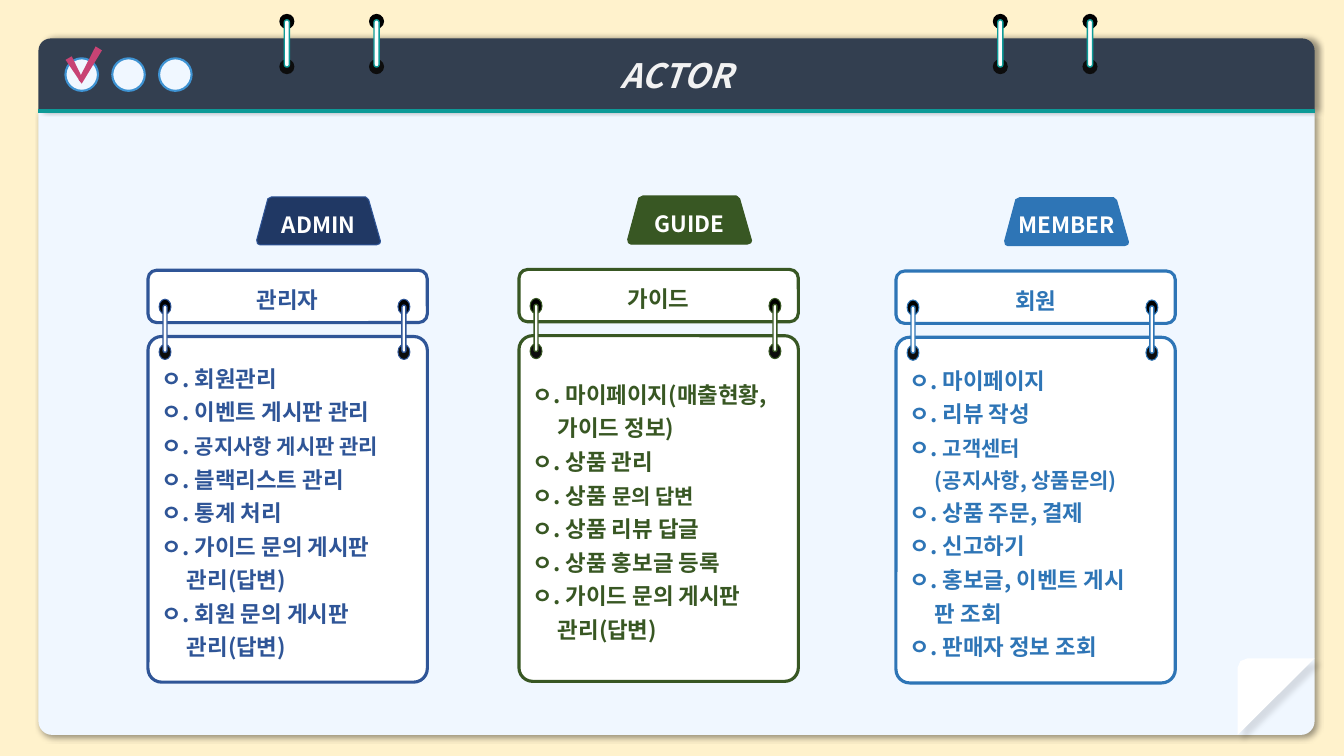
import pptx
import pptx.dml.color
import pptx.enum.shapes
import pptx.enum.text
import pptx.oxml.ns
import pptx.util
from lxml import etree

Cm = pptx.util.Cm
Pt = pptx.util.Pt
qn = pptx.oxml.ns.qn
KIND = pptx.enum.shapes.MSO_SHAPE
ALIGN = pptx.enum.text.PP_ALIGN
MIDDLE = pptx.enum.text.MSO_ANCHOR.MIDDLE


def color(code):
    return pptx.dml.color.RGBColor.from_string(code)


class Board:
    font = "Noto Sans CJK KR"
    teal = "0D9A97"
    pale = "F0F7FF"
    white = "FFFFFF"
    pink = "C84374"

    def __init__(self, deck):
        self.slide = deck.slides.add_slide(deck.slide_layouts[5])
        self.shapes = self.slide.shapes
        back = self.slide.background.fill
        back.solid()
        back.fore_color.rgb = color("FFF2CC")

    def paint(self, shape, fill, line=None, shade=None):
        shape.fill.solid()
        shape.fill.fore_color.rgb = color(fill)
        if line:
            shape.line.color.rgb = color(line[0])
            shape.line.width = Pt(line[1])
        else:
            shape.line.fill.background()
        shape.shadow.inherit = False
        if shade:
            self.shade(shape, *shade)
        return shape

    def shade(self, shape, alpha, dist, angle):
        effects = shape._element.spPr.find(qn("a:effectLst"))
        outer = etree.SubElement(
            effects, qn("a:outerShdw"), blurRad=str(Pt(4)), dist=str(Pt(dist)),
            dir=str(angle * 60000), algn="tl", rotWithShape="0")
        tint = etree.SubElement(outer, qn("a:srgbClr"), val="000000")
        etree.SubElement(tint, qn("a:alpha"), val=str(alpha * 1000))

    def shape(self, kind, box, fill, line=None, shade=None, adjust=()):
        item = self.shapes.add_shape(kind, *map(Cm, box))
        for i, value in enumerate(adjust):
            item.adjustments[i] = value
        return self.paint(item, fill, line, shade)

    def outline(self, points, fill, line=None, shade=None):
        spots = [(Cm(x), Cm(y)) for x, y in points]
        pen = self.shapes.build_freeform(*spots[0])
        pen.add_line_segments(spots[1:], close=True)
        return self.paint(pen.convert_to_shape(), fill, line, shade)

    def rule(self, x1, y1, x2, y2, tint, width):
        straight = pptx.enum.shapes.MSO_CONNECTOR.STRAIGHT
        link = self.shapes.add_connector(straight, *map(Cm, (x1, y1, x2, y2)))
        link.line.color.rgb = color(tint)
        link.line.width = Pt(width)
        etree.SubElement(link._element.spPr, qn("a:effectLst"))

    def style(self, para, size, tint, align, space=None):
        para.alignment = align
        para.line_spacing = space
        para.font.name = self.font
        para.font.size = Pt(size)
        para.font.bold = True
        para.font.color.rgb = color(tint)
        face = para.font._element.find(qn("a:latin"))
        face.addnext(face.makeelement(qn("a:ea"), typeface=self.font))

    def label(self, shape, rows, tint, align=ALIGN.CENTER):
        frame = shape.text_frame
        frame.word_wrap = True
        frame.vertical_anchor = MIDDLE
        for i, row in enumerate(rows):
            para = frame.paragraphs[0] if i == 0 else frame.add_paragraph()
            text, small = row if isinstance(row, tuple) else (row, "")
            if align == ALIGN.LEFT and not text.startswith("ㅇ"):
                props = para._p.get_or_add_pPr()
                props.set("marL", str(Cm(0.63)))
                props.set("indent", "0")
            if text:
                para.add_run().text = text
            if small:
                run = para.add_run()
                run.text = small
                run.font.size = Pt(15)
            self.style(para, 16, tint, align, 1.25)

    def title(self, text, box):
        head = self.shapes.title
        head.left, head.top, head.width, head.height = map(Cm, box)
        head.text = text
        head.text_frame.vertical_anchor = MIDDLE
        head.text_frame.auto_size = pptx.enum.text.MSO_AUTO_SIZE.NONE
        para = head.text_frame.paragraphs[0]
        self.style(para, 24, "F2F2F2", ALIGN.CENTER)
        para.font.italic = True
        self.shapes._spTree.append(head._element)

    def ring(self, x, y, width, bar, tint, edge=None):
        self.shape(KIND.OVAL, (x, y + 1.14, width, 0.38), "0D0D0D", edge)
        self.shape(KIND.OVAL, (x, y, width, 0.38), "000000", edge)
        self.shape(KIND.ROUNDED_RECTANGLE,
                   (x + (width - bar) / 2, y + 0.15, bar, 1.19),
                   self.white, (tint, 1), adjust=[0.5])

    def card(self, x, y, tint, dark, role, name, rows):
        line = (tint, 2.25)
        head = self.shape(KIND.ROUNDED_RECTANGLE, (x, y, 7.04, 1.32),
                          self.white, line)
        self.label(head, [name], tint)
        body = self.shape(KIND.ROUNDED_RECTANGLE, (x, y + 1.67, 7.04, 8.71),
                          self.white, line, adjust=[0.049])
        self.label(body, rows, tint, ALIGN.LEFT)
        for step in (0.28, 6.3):
            self.ring(x + step, y + 0.73, 0.3, 0.1, tint, (tint, 0))
        rim = [(0.38, 0), (2.74, 0), (2.82, 0.07), (3.12, 1.12), (3.1, 1.18),
               (3.02, 1.21), (0.08, 1.21), (0.02, 1.18), (0, 1.09), (0.28, 0.05)]
        tab = self.outline([(x + 2.74 + a, y - 1.85 + b) for a, b in rim],
                           dark, (tint, 0))
        self.label(tab, [role], self.white)


CARDS = [
    (3.73, 6.81, "2F5597", "203864", "ADMIN", "관리자",
     ["ㅇ. 회원관리", "ㅇ. 이벤트 게시판 관리", ("ㅇ. ", "공지사항 게시판 관리"),
      "ㅇ. 블랙리스트 관리", "ㅇ. 통계 처리", "ㅇ. 가이드 문의 게시판", "관리(답변)",
      "ㅇ. 회원 문의 게시판", "관리(답변)"]),
    (13.08, 6.79, "385723", "385723", "GUIDE", "가이드",
     ["ㅇ. 마이페이지(매출현황,", "가이드 정보)", "ㅇ. 상품 관리",
      ("ㅇ. 상품 ", "문의 답변"), "ㅇ. 상품 리뷰 답글", "ㅇ. 상품 홍보글 등록",
      "ㅇ. 가이드 문의 게시판", "관리(답변)"]),
    (22.58, 6.83, "2E75B6", "2E75B6", "MEMBER", "회원",
     ["ㅇ. 마이페이지", "ㅇ. 리뷰 작성", ("ㅇ. ", "고객센터"),
      ("", "(공지사항, 상품문의)"), "ㅇ. 상품 주문, 결제", "ㅇ. 신고하기",
      "ㅇ. 홍보글, 이벤트 게시", "판 조회", "ㅇ. 판매자 정보 조회"]),
]


def main():
    deck = pptx.Presentation()
    deck.slide_width, deck.slide_height = Cm(33.87), Cm(19.05)
    board = Board(deck)
    bar = (0.97, 0.97, 32.16, 1.83)
    board.shape(KIND.ROUND_2_SAME_RECTANGLE, (0.97, 2.8, 32.16, 15.72),
                board.pale, shade=(40, 3, 45), adjust=[0, 0.022])
    board.shape(KIND.ROUND_2_SAME_RECTANGLE, bar, "333F50", shade=(40, 3, 0))
    board.title("ACTOR", bar)
    board.rule(0.97, 2.8, 33.13, 2.8, board.teal, 2.5)
    for i in range(3):
        board.shape(KIND.OVAL, (1.65 + 1.18 * i, 1.47, 0.82, 0.82),
                    board.pale, ("3E93D3", 1.5))
    tick = board.shape(KIND.TRAPEZOID, (1.8, 1.42, 0.18, 0.64), board.pink)
    tick.rotation = 150
    board.outline([(2.57, 1.27), (2.06, 2.11), (1.98, 2.01), (2.41, 1.17)],
                  board.pink)
    board.outline([(31.19, 18.52), (31.19, 16.82), (31.26, 16.66),
                   (31.44, 16.59), (33.13, 16.59)],
                  board.white, shade=(11, 6, 45))
    for x in (7.04, 9.3, 25.02, 27.28):
        board.ring(x, 0.35, 0.38, 0.13, board.teal)
    for card in CARDS:
        board.card(*card)
    deck.save("out.pptx")


if __name__ == "__main__":
    main()
